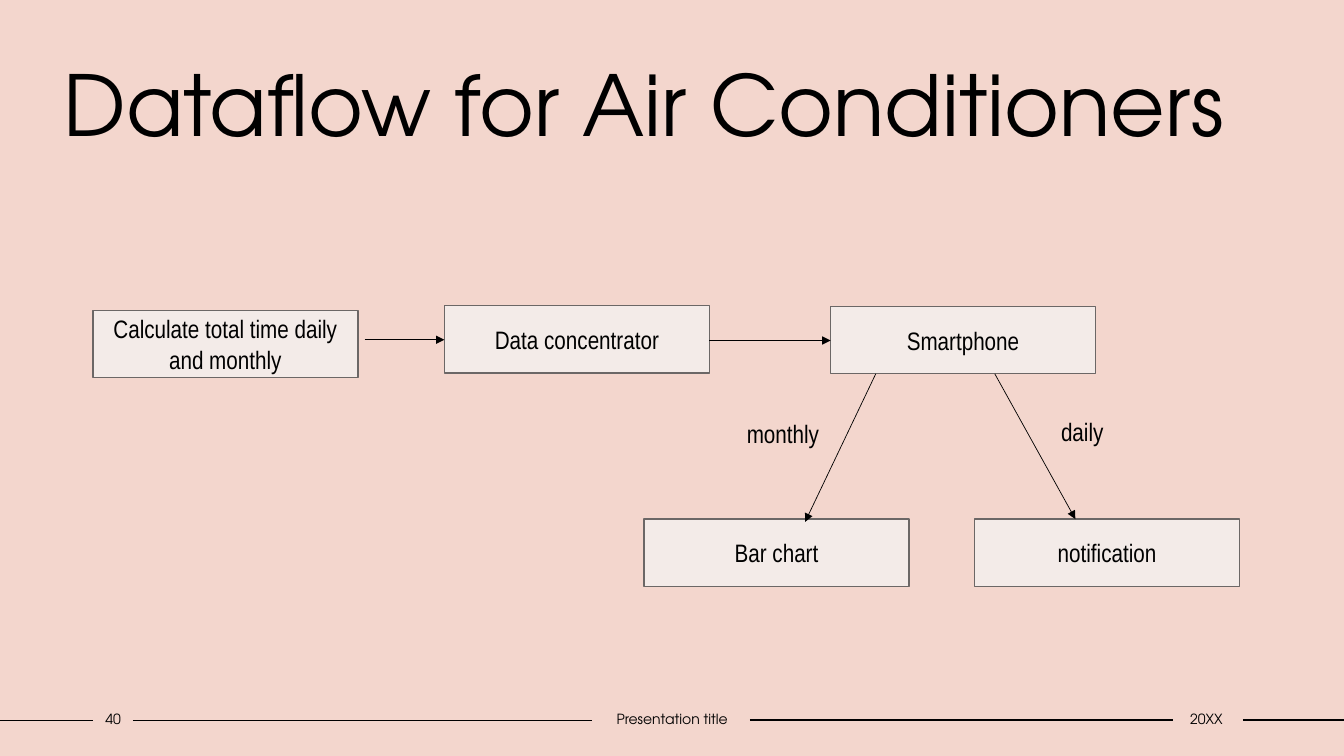
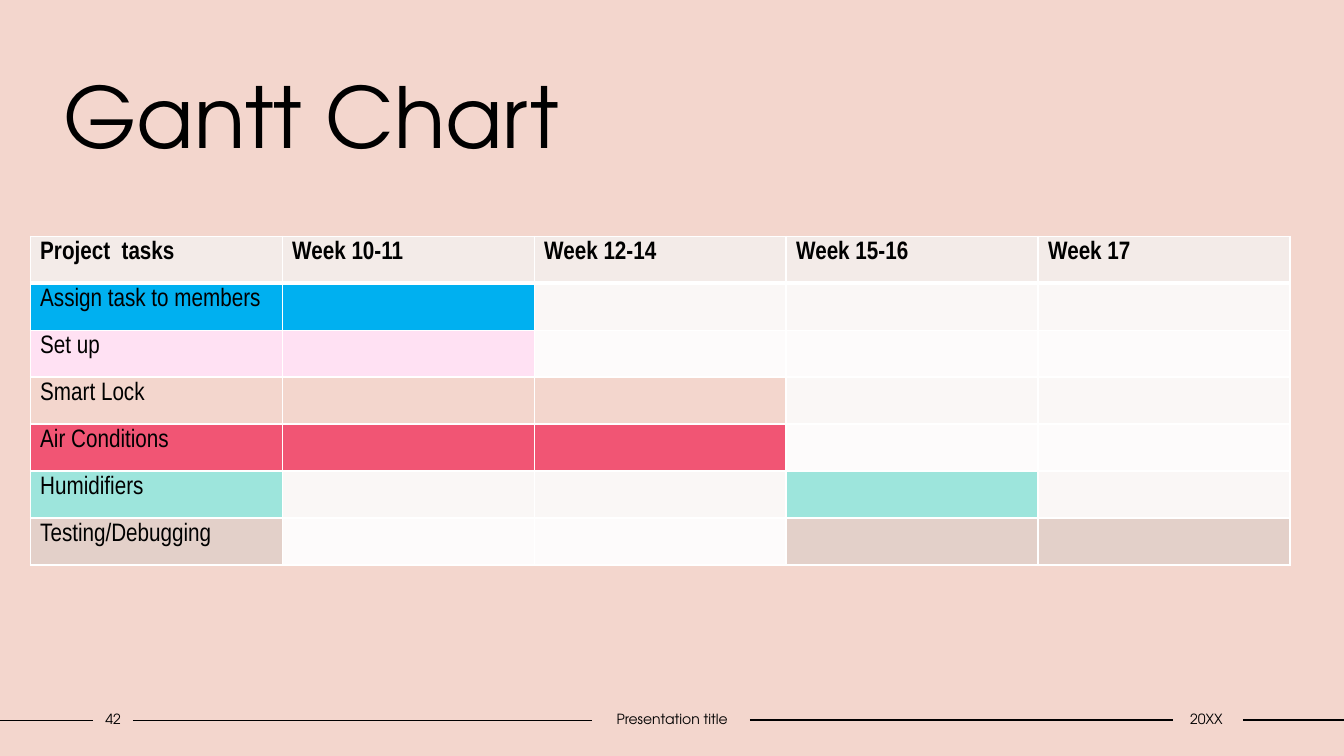
from lxml.etree import SubElement
from pptx import Presentation
from pptx.dml.color import RGBColor
from pptx.enum.shapes import MSO_CONNECTOR, MSO_SHAPE
from pptx.enum.text import MSO_ANCHOR, MSO_AUTO_SIZE, PP_ALIGN
from pptx.oxml.ns import qn
from pptx.util import Cm, Pt

BLACK = RGBColor(0x00, 0x00, 0x00)
PINK = RGBColor(0xF3, 0xD6, 0xCD)
CREAM = RGBColor(0xF3, 0xEB, 0xE8)
BOX_LINE = RGBColor(0x6B, 0x67, 0x66)
BLUE = RGBColor(0x00, 0xB0, 0xF0)
LILAC = RGBColor(0xFF, 0xE1, 0xF3)
RED = RGBColor(0xF1, 0x55, 0x74)
MINT = RGBColor(0x9D, 0xE5, 0xDC)
TAUPE = RGBColor(0xE3, 0xD0, 0xC9)
# Pale fills of the odd and even table rows
BANDS = (RGBColor(0xFA, 0xF7, 0xF6), RGBColor(0xFD, 0xFB, 0xFB))

TITLE_FONT = "TeX Gyre Adventor"
BODY_FONT = "Arial Narrow"
BOX_WIDTH, BOX_HEIGHT = 6.68, 1.7


def style_text(text_frame, font_name, size, align=PP_ALIGN.LEFT, bold=False):
    for paragraph in text_frame.paragraphs:
        paragraph.alignment = align
        for run in paragraph.runs:
            run.font.name = font_name
            run.font.size = Pt(size)
            run.font.bold = bold
            run.font.color.rgb = BLACK


def add_line(slide, start, end, width, arrow=False):
    connector = slide.shapes.add_connector(
        MSO_CONNECTOR.STRAIGHT, Cm(start[0]), Cm(start[1]), Cm(end[0]), Cm(end[1]))
    connector.line.color.rgb = BLACK
    connector.line.width = Pt(width)
    if arrow:
        SubElement(connector.line._get_or_add_ln(), qn("a:tailEnd"), type="triangle")
    SubElement(connector._element.spPr, qn("a:effectLst"))


def add_text(slide, text, left, top, width, height):
    shape = slide.shapes.add_textbox(Cm(left), Cm(top), Cm(width), Cm(height))
    shape.text_frame.word_wrap = True
    shape.text_frame.text = text
    return shape.text_frame


# Shared parts: title and footer
def add_footer(slide, number, top=17.78):
    for start, end, drop in ((0, 2.34, 0.38), (3.35, 14.91, 0.38),
                             (18.9, 29.57, 0.36), (31.32, 33.87, 0.36)):
        add_line(slide, (start, top + drop), (end, top + drop), 1)
    for text, left, width in ((number, 2.34, 1.02),
                              ("Presentation title", 14.91, 4.06),
                              ("20XX", 29.51, 1.78)):
        text_frame = add_text(slide, text, left, top, width, 0.69)
        text_frame.margin_left = text_frame.margin_right = 0
        text_frame.vertical_anchor = MSO_ANCHOR.MIDDLE
        style_text(text_frame, TITLE_FONT, 10, PP_ALIGN.CENTER)


def add_titled_slide(presentation, title_text, title_top, title_width, number):
    slide = presentation.slides.add_slide(presentation.slide_layouts[5])
    title = slide.shapes.title
    title.left, title.top = Cm(1.35), Cm(title_top)
    title.width, title.height = Cm(title_width), Cm(2.82)
    title.text_frame.text = title_text
    title.text_frame.auto_size = MSO_AUTO_SIZE.NONE
    title.text_frame.vertical_anchor = MSO_ANCHOR.TOP
    style_text(title.text_frame, TITLE_FONT, 60)
    add_footer(slide, number)
    return slide


# Flow diagram
def add_flow_box(slide, text, left, top):
    shape = slide.shapes.add_shape(
        MSO_SHAPE.RECTANGLE, Cm(left), Cm(top), Cm(BOX_WIDTH), Cm(BOX_HEIGHT))
    shape.shadow.inherit = False
    shape.fill.solid()
    shape.fill.fore_color.rgb = CREAM
    shape.line.color.rgb = BOX_LINE
    shape.line.width = Pt(1)
    shape.text_frame.word_wrap = True
    shape.text_frame.vertical_anchor = MSO_ANCHOR.MIDDLE
    shape.text_frame.text = text
    style_text(shape.text_frame, BODY_FONT, 18, PP_ALIGN.CENTER)


def add_flow_diagram(slide, left, top):
    for text, x, y in (("Calculate total time daily and monthly", 0, 0.12),
                       ("Data concentrator", 8.86, 0),
                       ("Smartphone", 18.59, 0.02),
                       ("Bar chart", 13.89, 5.38),
                       ("notification", 22.22, 5.38)):
        add_flow_box(slide, text, left + x, top + y)
    for x1, y1, x2, y2 in ((6.85, 0.86, 8.86, 0.86),
                           (15.54, 0.88, 18.59, 0.88),
                           (19.73, 1.72, 17.95, 5.45),
                           (22.73, 1.72, 24.76, 5.38)):
        add_line(slide, (left + x1, top + y1), (left + x2, top + y2), 0.5, arrow=True)
    for text, x, y in (("monthly", 16.23, 2.71), ("daily", 24.15, 2.66)):
        label = add_text(slide, text, left + x, top + y, 3, 1.02)
        style_text(label, BODY_FONT, 18)


# Gantt table
def set_borders(cell, top, bottom):
    properties = cell._tc.get_or_add_tcPr()
    widths = {"a:lnL": 1, "a:lnR": 1, "a:lnT": top, "a:lnB": bottom}
    for position, (tag, width) in enumerate(widths.items()):
        line = SubElement(properties, qn(tag), w=str(Pt(width)))
        fill = SubElement(line, qn("a:solidFill"))
        SubElement(fill, qn("a:srgbClr"), val="FFFFFF")
        properties.insert(position, line)


def fill_cell(cell, text, color, bold=False, top=1, bottom=1):
    cell.text = text
    style_text(cell.text_frame, BODY_FONT, 18, bold=bold)
    cell.fill.solid()
    cell.fill.fore_color.rgb = color
    set_borders(cell, top, bottom)


def add_gantt_table(slide, left, top, width, height):
    headings = ("Project  tasks", "Week 10-11", "Week 12-14", "Week 15-16", "Week 17")
    # Task, colour, columns in which it is active
    tasks = (("Assign task to members", BLUE, (1,)),
             ("Set up", LILAC, (1,)),
             ("Smart Lock", PINK, (1, 2)),
             ("Air Conditions", RED, (1, 2)),
             ("Humidifiers", MINT, (3,)),
             ("Testing/Debugging", TAUPE, (3, 4)))
    table = slide.shapes.add_table(
        len(tasks) + 1, len(headings), Cm(left), Cm(top), Cm(width), Cm(height)).table
    for column, heading in enumerate(headings):
        fill_cell(table.cell(0, column), heading, CREAM, bold=True, bottom=3)
    for row, (task, color, active) in enumerate(tasks, start=1):
        for column in range(len(headings)):
            colored = column == 0 or column in active
            fill_cell(table.cell(row, column),
                      task if column == 0 else "",
                      color if colored else BANDS[(row - 1) % 2],
                      top=3 if row == 1 else 1)


def main():
    presentation = Presentation()
    presentation.slide_width, presentation.slide_height = Cm(33.87), Cm(19.05)
    background = presentation.slide_master.background.fill
    background.solid()
    background.fore_color.rgb = PINK

    dataflow = add_titled_slide(
        presentation, "Dataflow for Air Conditioners", 1.19, 31.39, "40")
    add_flow_diagram(dataflow, 2.34, 7.7)

    gantt = add_titled_slide(presentation, "Gantt Chart", 1.5, 27.53, "42")
    add_gantt_table(gantt, 0.76, 5.95, 31.75, 8.29)

    presentation.save("out.pptx")


if __name__ == "__main__":
    main()
